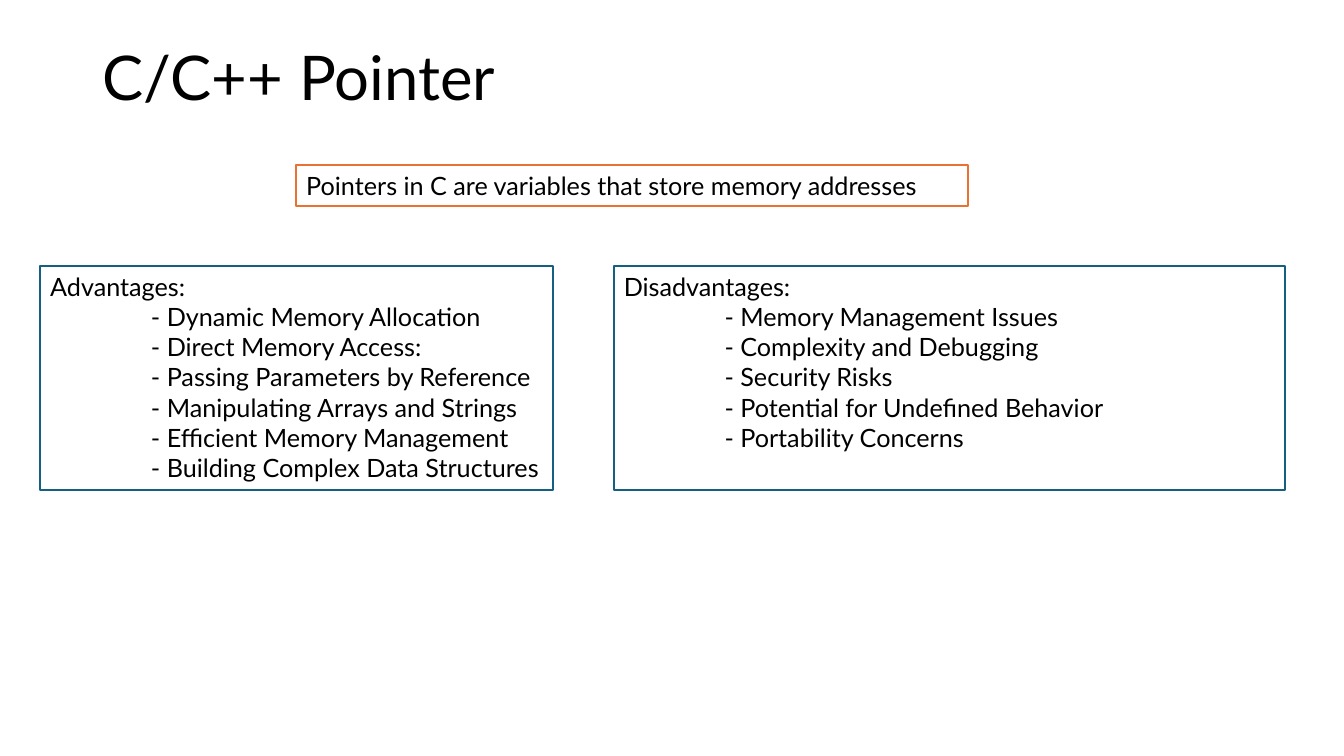
from pptx import Presentation
from pptx.dml.color import RGBColor
from pptx.enum.shapes import MSO_SHAPE
from pptx.enum.text import MSO_ANCHOR, PP_ALIGN
from pptx.util import Pt

# Content
TITLE = "C/C++ Pointer"
DEFINITION = "Pointers in C are variables that store memory addresses"
ADVANTAGES = [
    "Dynamic Memory Allocation",
    "Direct Memory Access:",
    "Passing Parameters by Reference",
    "Manipulating Arrays and Strings",
    "Efficient Memory Management",
    "Building Complex Data Structures",
]
DISADVANTAGES = [
    "Memory Management Issues",
    "Complexity and Debugging",
    "Security Risks",
    "Potential for Undefined Behavior",
    "Portability Concerns",
]

# Colours and text formats
BLACK = RGBColor(0x00, 0x00, 0x00)
WHITE = RGBColor(0xFF, 0xFF, 0xFF)
ORANGE = RGBColor(0xE9, 0x71, 0x32)
TEAL = RGBColor(0x15, 0x60, 0x82)
TITLE_FONT = {"name": "Lato", "size": Pt(44)}
BODY_FONT = {"name": "Lato", "size": Pt(18)}

# Layout in points
WIDE = 479.5
LIST_TOP, LIST_HEIGHT = 190, 160
ITEM_INDENT = 72
BOXES = [
    (DEFINITION, [], (211.7, 118, WIDE, 29), ORANGE),
    ("Advantages:", ADVANTAGES, (28.8, LIST_TOP, 366, LIST_HEIGHT), TEAL),
    ("Disadvantages:", DISADVANTAGES, (438.5, LIST_TOP, WIDE, LIST_HEIGHT), TEAL),
]


def write(p, text, font):
    p.alignment = PP_ALIGN.LEFT
    r = p.add_run()
    r.text = text
    for key, value in font.items():
        setattr(r.font, key, value)
    r.font.color.rgb = BLACK


def add_box(s, heading, items, at, outline):
    sp = s.shapes.add_shape(MSO_SHAPE.RECTANGLE, *map(Pt, at))
    sp.shadow.inherit = False
    sp.fill.solid()
    sp.fill.fore_color.rgb = WHITE
    sp.line.color.rgb = outline
    sp.line.width = Pt(1.5)
    tf = sp.text_frame
    tf.word_wrap = True
    tf.vertical_anchor = MSO_ANCHOR.TOP
    write(tf.paragraphs[0], heading, BODY_FONT)
    for item in items:
        p = tf.add_paragraph()
        p._p.get_or_add_pPr().set("marL", str(Pt(ITEM_INDENT)))
        write(p, f"- {item}", BODY_FONT)


prs = Presentation()
prs.slide_width, prs.slide_height = Pt(960), Pt(540)
s = prs.slides.add_slide(prs.slide_layouts[6])

# Title
tf = s.shapes.add_textbox(Pt(66), Pt(28.8), Pt(828), Pt(104.4)).text_frame
tf.word_wrap = True
tf.vertical_anchor = MSO_ANCHOR.TOP
tf.margin_top = Pt(4.7)
tf.paragraphs[0].line_spacing = 0.9
write(tf.paragraphs[0], TITLE, TITLE_FONT)

# Definition and the two lists
for box in BOXES:
    add_box(s, *box)

prs.save("out.pptx")
